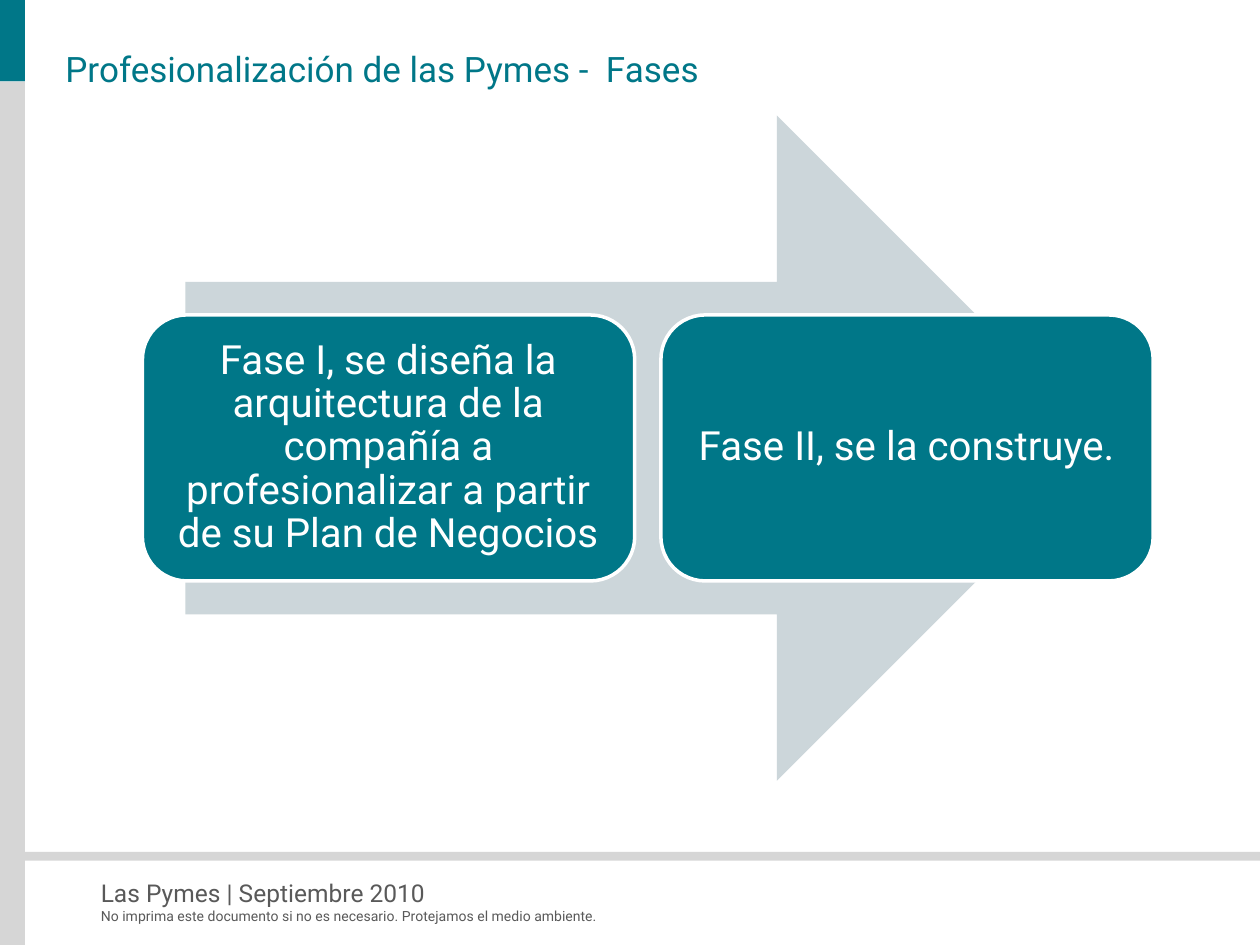
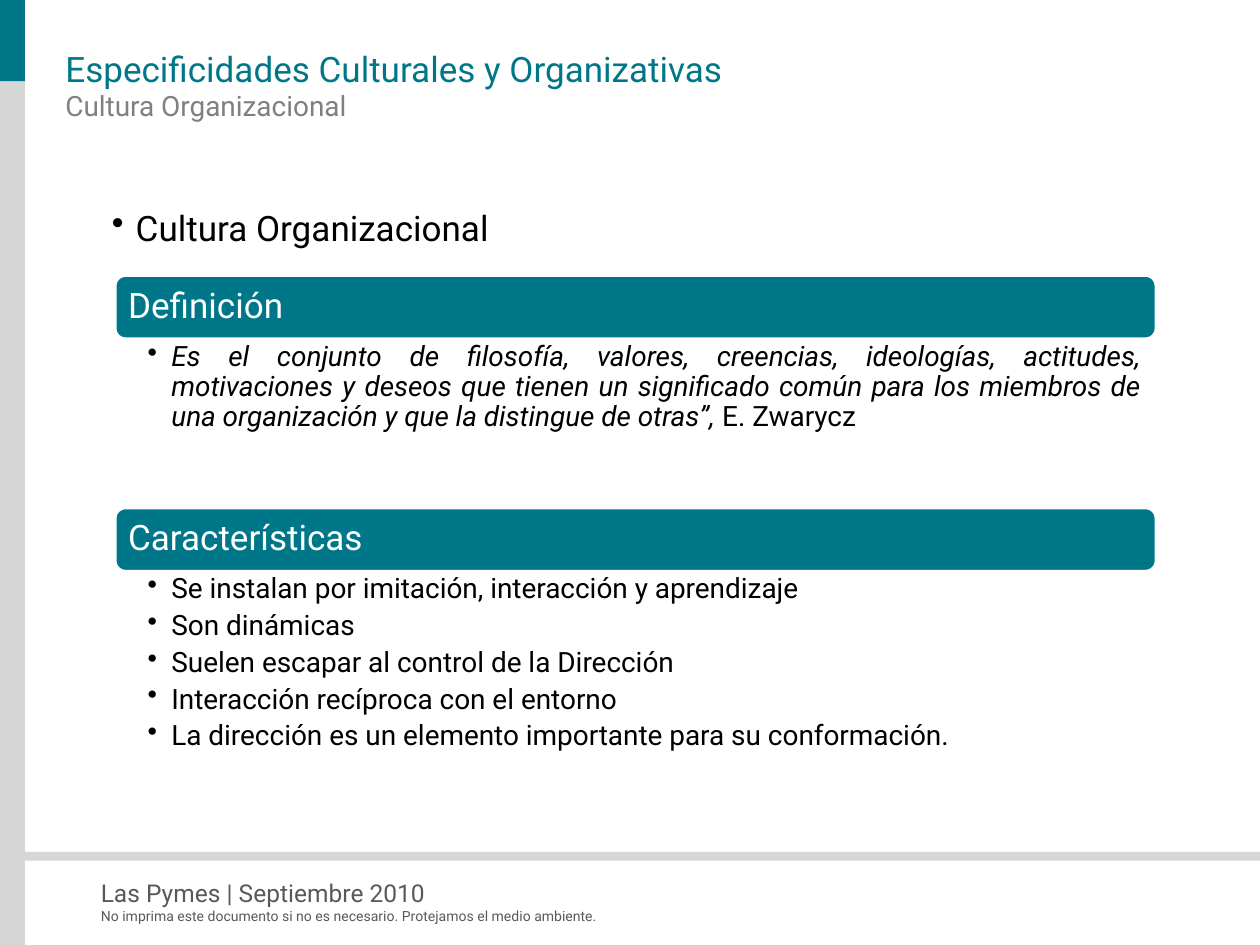
"""Build two slides about professionalising small companies."""
from dataclasses import dataclass

from lxml.etree import SubElement
from pptx import Presentation
from pptx.dml.color import RGBColor
from pptx.enum.shapes import MSO_SHAPE as Shape
from pptx.enum.text import MSO_ANCHOR as Anchor, PP_ALIGN as Align
from pptx.oxml.ns import qn
from pptx.util import Pt

FONT = "Roboto"
COLORS = {
    "teal": "007788",
    "band": "D6D6D6",
    "arrow": "CCD6DA",
    "footer": "595959",
    "subtitle": "808080",
    "text": "000000",
    "white": "FFFFFF",
}


@dataclass(frozen=True)
class Area:
    left: float
    top: float
    width: float
    height: float

    def lengths(self):
        return Pt(self.left), Pt(self.top), Pt(self.width), Pt(self.height)


@dataclass(frozen=True)
class Style:
    size: float
    color: str
    align: Align = Align.LEFT
    line_spacing: float = 1.0
    space_after: float = 0
    bullet: bool = False


@dataclass(frozen=True)
class Band:
    area: Area
    color: str


@dataclass(frozen=True)
class Label:
    area: Area
    text: str
    style: Style


@dataclass(frozen=True)
class Section:
    top: float
    heading: str
    items: list
    align: Align
    right_inset: float
    body_height: float


TITLE = Style(20, "teal")
SUBTITLE = Style(16, "subtitle")
CARD = Style(23, "white", Align.CENTER, 0.9)
HEADING = Style(20, "white", line_spacing=0.9)
TOPIC = Style(20, "text", bullet=True)

BANDS = [
    Band(Area(0, 0, 14.2, 46.6), "teal"),
    Band(Area(0, 46.6, 14.2, 493.4), "band"),
    Band(Area(12.5, 486.8, 707.5, 5), "band"),
]
FOOTERS = [
    Label(Area(57.6, 501.8, 517, 17.3), "Las Pymes | Septiembre 2010", Style(14, "footer")),
    Label(
        Area(57.6, 518.4, 478.8, 9.4),
        "No imprima este documento si no es necesario. Protejamos el medio ambiente.",
        Style(8, "footer"),
    ),
]
PHASES = [
    "Fase I, se diseña la arquitectura de la compañía a profesionalizar a partir de su Plan de Negocios",
    "Fase II, se la construye.",
]
QUOTE = (
    "Es el conjunto de filosofía, valores, creencias, ideologías, actitudes, motivaciones y deseos "
    "que tienen un significado común para los miembros de una organización y que la distingue de otras”, "
)
SECTIONS = [
    Section(157.2, "Definición", [[QUOTE, "E. Zwarycz"]], Align.JUSTIFY, 8.6, 96.5),
    Section(
        290,
        "Características",
        [
            ["Se instalan por imitación, interacción y aprendizaje"],
            ["Son dinámicas"],
            ["Suelen escapar al control de la Dirección"],
            ["Interacción recíproca con el entorno"],
            ["La dirección es un elemento importante para su conformación."],
        ],
        Align.LEFT,
        11.5,
        103,
    ),
]


def rgb(name: str) -> RGBColor:
    return RGBColor.from_string(COLORS[name])


def set_frame(frame, insets=(0, 0, 0, 0), anchor=Anchor.TOP) -> None:
    frame.word_wrap = True
    frame.vertical_anchor = anchor
    frame.margin_left, frame.margin_top, frame.margin_right, frame.margin_bottom = map(Pt, insets)


def format_para(para, style: Style) -> None:
    para.alignment = style.align
    para.line_spacing = style.line_spacing
    para.space_before = Pt(0)
    para.space_after = Pt(style.space_after)
    if style.bullet:
        properties = para._p.get_or_add_pPr()
        properties.set("marL", str(Pt(13.6)))
        properties.set("indent", str(-Pt(13.6)))
        SubElement(properties, qn("a:buChar"), char="•")
    for span in para.runs:
        span.font.name = FONT
        span.font.size = Pt(style.size)
        span.font.color.rgb = rgb(style.color)


def write(frame, text: str, style: Style) -> None:
    frame.text = text
    format_para(frame.paragraphs[0], style)


def add_label(page, label: Label, insets=(0, 0, 0, 0)) -> None:
    box = page.shapes.add_textbox(*label.area.lengths())
    set_frame(box.text_frame, insets)
    write(box.text_frame, label.text, label.style)


def add_block(page, kind: Shape, area: Area, color: str, outlined: bool = False):
    block = page.shapes.add_shape(kind, *area.lengths())
    block.shadow.inherit = False
    block.fill.solid()
    block.fill.fore_color.rgb = rgb(color)
    if outlined:
        block.line.color.rgb = rgb("white")
        block.line.width = Pt(2)
    else:
        block.line.fill.background()
    return block


def add_panel(page, area: Area, text: str, style: Style, inset: float) -> None:
    panel = add_block(page, Shape.ROUNDED_RECTANGLE, area, "teal", outlined=True)
    set_frame(panel.text_frame, (inset,) * 4, Anchor.MIDDLE)
    write(panel.text_frame, text, style)


def add_page(deck, title_text: str):
    page = deck.slides.add_slide(deck.slide_layouts[5])
    for band in BANDS:
        add_block(page, Shape.RECTANGLE, band.area, band.color)
    for footer in FOOTERS:
        add_label(page, footer)
    title = page.shapes.title
    title.left, title.top, title.width, title.height = Area(37.4, 27.4, 665.3, 23).lengths()
    set_frame(title.text_frame, anchor=Anchor.MIDDLE)
    write(title.text_frame, title_text, TITLE)
    return page


def add_section(page, section: Section) -> None:
    left, width, heading_height = 65.6, 595.2, 36.6
    heading_area = Area(left, section.top, width, heading_height)
    add_panel(page, heading_area, section.heading, HEADING, 5.8)
    body_area = Area(left, section.top + heading_height, width, section.body_height)
    box = page.shapes.add_textbox(*body_area.lengths())
    frame = box.text_frame
    set_frame(frame, (18.7, 1.8, section.right_inset, 1.8))
    style = Style(16, "text", section.align, 0.9, 3.75, True)
    for index, parts in enumerate(section.items):
        para = frame.add_paragraph() if index else frame.paragraphs[0]
        for part in parts:
            span = para.add_run()
            span.text = part
            span.font.italic = part == QUOTE
        format_para(para, style)


def build_phases(deck) -> None:
    page = add_page(deck, "Profesionalización de las Pymes -  Fases")
    add_block(page, Shape.RIGHT_ARROW, Area(106, 66, 528, 380.2), "arrow")
    for index, phase in enumerate(PHASES):
        add_panel(page, Area(81.4 + index * 296.3, 180, 281.3, 152), phase, CARD, 7.2)


def build_culture(deck) -> None:
    page = add_page(deck, "Especificidades Culturales y Organizativas")
    add_label(page, Label(Area(37.4, 50.4, 665.3, 18), "Cultura Organizacional", SUBTITLE))
    topic = Label(Area(56.9, 114.5, 621.4, 36), "Cultura Organizacional", TOPIC)
    add_label(page, topic, (7.2, 3.6, 7.2, 3.6))
    for section in SECTIONS:
        add_section(page, section)


def main() -> None:
    deck = Presentation()
    deck.slide_width, deck.slide_height = Pt(720), Pt(540)
    build_phases(deck)
    build_culture(deck)
    deck.save("out.pptx")


if __name__ == "__main__":
    main()
